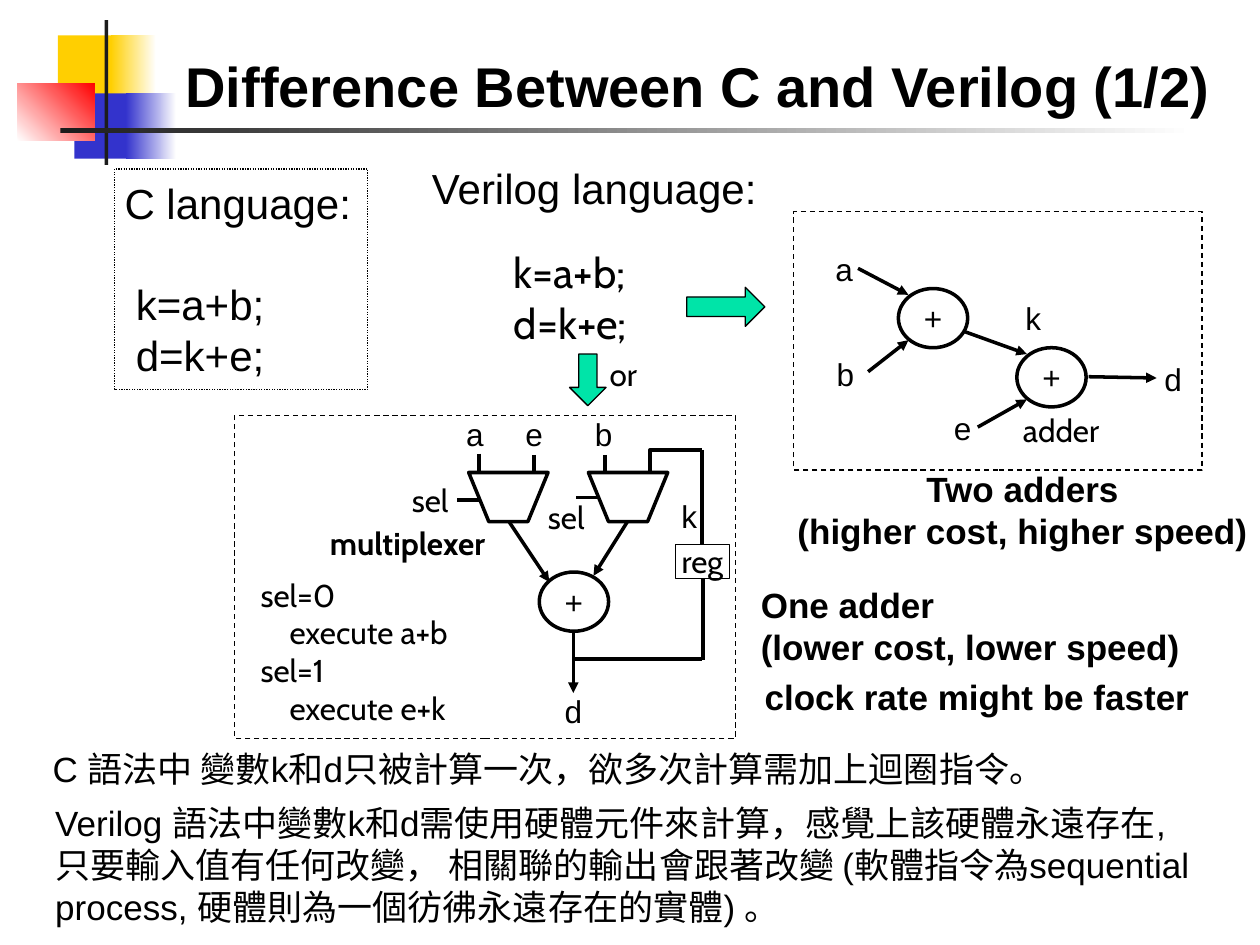
from dataclasses import dataclass

from lxml import etree
from pptx import Presentation, util as u
from pptx.dml import color
from pptx.enum import dml, shapes, text
from pptx.oxml import ns

PX = 9144  # EMU per px, at 100 px to the inch


@dataclass(frozen=True)
class Theme:
    ink: str = "000000"
    paper: str = "FFFFFF"
    gold: str = "FFCF01"
    blue: str = "3333CC"
    red: str = "FF0000"
    rule: str = "1C1C1C"
    arrow: str = "00E4A8"
    sans: str = "Arial"
    round: str = "Cabin"
    title: int = 32
    heading: int = 24
    note: int = 20
    label: int = 18
    wire: float = 2
    frame: float = 0.75


theme = Theme()
INK = color.RGBColor.from_string(theme.ink)
LEFT, CENTER = text.PP_ALIGN.LEFT, text.PP_ALIGN.CENTER
TOP, MIDDLE = text.MSO_ANCHOR.TOP, text.MSO_ANCHOR.MIDDLE


def write_text(shape, words, size, font, bold=False, align=LEFT, anchor=TOP):
    frame = shape.text_frame
    frame.text = words
    frame.word_wrap = False
    frame.vertical_anchor = anchor
    for paragraph in frame.paragraphs:
        paragraph.alignment = align
        for run in paragraph.runs:
            run.font.size = u.Pt(size)
            run.font.name = font
            run.font.bold = bold
            run.font.color.rgb = INK
    return frame


def draw_wire(x1, y1, x2, y2, arrow=False):
    wire = slide.shapes.add_connector(
        shapes.MSO_CONNECTOR.STRAIGHT, x1 * PX, y1 * PX, x2 * PX, y2 * PX)
    wire.line.color.rgb = INK
    wire.line.width = u.Pt(theme.wire)
    properties = wire._element.spPr
    if arrow:
        etree.SubElement(properties.find(ns.qn("a:ln")), ns.qn("a:tailEnd"), type="triangle")
    etree.SubElement(properties, ns.qn("a:effectLst"))


presentation = Presentation()
presentation.slide_width = 1000 * PX
presentation.slide_height = 750 * PX
slide = presentation.slides.add_slide(presentation.slide_layouts[5])

# Corner ornament: start colour, end colour, angle
for left, top, width, height, start, end, angle in [
    (46, 28, 48, 52, theme.gold, None, 0),
    (88, 28, 36, 52, theme.gold, theme.paper, 0),
    (59, 74, 46, 52, theme.blue, None, 0),
    (100, 74, 40, 52, theme.blue, theme.paper, 0),
    (14, 66, 61, 46, theme.paper, theme.red, 45),
    (83, 16, 3, 115, theme.rule, None, 0),
    (48, 102, 900, 4, theme.rule, theme.paper, 0),
]:
    block = slide.shapes.add_shape(
        shapes.MSO_SHAPE.RECTANGLE, left * PX, top * PX, width * PX, height * PX)
    block.shadow.inherit = False
    block.line.fill.background()
    if end:
        block.fill.gradient()
        block.fill.gradient_angle = angle
        for stop, shade in zip(block.fill.gradient_stops, (start, end)):
            stop.color.rgb = color.RGBColor.from_string(shade)
    else:
        block.fill.solid()
        block.fill.fore_color.rgb = color.RGBColor.from_string(start)

title = slide.shapes.title
title.left, title.top, title.width, title.height = 124 * PX, -11 * PX, 860 * PX, 110 * PX
write_text(title, "Difference Between C and Verilog (1/2)", theme.title, theme.sans,
           True, CENTER, text.MSO_ANCHOR.BOTTOM)

# Frames and block arrows
RECTANGLE = shapes.MSO_SHAPE.RECTANGLE
for kind, left, top, width, height, fill, dash in [
    (RECTANGLE, 91, 134, 201, 175, theme.paper, dml.MSO_LINE.ROUND_DOT),
    (RECTANGLE, 630, 168, 324, 205, theme.paper, dml.MSO_LINE.DASH),
    (RECTANGLE, 186, 330, 398, 256, theme.paper, dml.MSO_LINE.DASH),
    (shapes.MSO_SHAPE.RIGHT_ARROW, 545, 228, 62, 31, theme.arrow, None),
    (shapes.MSO_SHAPE.DOWN_ARROW, 452, 281, 29, 41, theme.arrow, None),
]:
    panel = slide.shapes.add_shape(kind, left * PX, top * PX, width * PX, height * PX)
    panel.shadow.inherit = False
    panel.fill.solid()
    panel.fill.fore_color.rgb = color.RGBColor.from_string(fill)
    panel.line.color.rgb = INK
    panel.line.width = u.Pt(theme.frame)
    panel.line.dash_style = dash

# Adders
for left, top in [(713, 229), (807, 276), (428, 454)]:
    adder = slide.shapes.add_shape(
        shapes.MSO_SHAPE.OVAL, left * PX, top * PX, 55 * PX, 47 * PX)
    adder.shadow.inherit = False
    adder.fill.background()
    adder.line.color.rgb = INK
    adder.line.width = u.Pt(theme.wire)
    write_text(adder, "+", theme.label, theme.sans, False, CENTER, MIDDLE)

# Two multiplexers and the feedback path into the second one
outlines = [([(x, 375), (x + 63, 375), (x + 47, 414), (x + 16, 414)], True)
            for x in (372, 467)]
outlines.append(([(516, 374), (516, 357), (557, 357)], False))
for points, closed in outlines:
    builder = slide.shapes.build_freeform(*points[0], scale=PX)
    builder.add_line_segments(points[1:], close=closed)
    outline = builder.convert_to_shape()
    outline.shadow.inherit = False
    outline.fill.background()
    outline.line.color.rgb = INK
    outline.line.width = u.Pt(theme.wire)

for ends in [
    (681, 213, 721, 234), (689, 295, 721, 270), (765, 263, 815, 281),
    (776, 339, 815, 317), (864, 299, 918, 300),
    (404, 414, 436, 462), (498, 414, 471, 457), (455, 502, 455, 550),
]:
    draw_wire(*ends, arrow=True)
for ends in [
    (380, 360, 380, 374), (424, 361, 424, 376), (480, 361, 480, 376),
    (380, 397, 363, 397), (474, 395, 457, 395),
    (455, 523, 557, 523), (557, 357, 557, 433), (558, 458, 558, 524),
]:
    draw_wire(*ends)

register = slide.shapes.add_shape(RECTANGLE, 536 * PX, 432 * PX, 43 * PX, 27 * PX)
register.shadow.inherit = False
register.fill.solid()
register.fill.fore_color.rgb = color.RGBColor.from_string(theme.paper)
register.line.color.rgb = INK
register.line.width = u.Pt(theme.frame)
write_text(register, "reg", theme.label, theme.round, False, CENTER, MIDDLE)

# Signal names, by their centres
for name, x, y in [
    ("a", 670, 213), ("b", 671, 296), ("k", 820, 252), ("e", 764, 339), ("d", 931, 300),
    ("a", 377, 344), ("e", 424, 344), ("b", 479, 344), ("k", 547, 409), ("d", 455, 564),
]:
    signal = slide.shapes.add_textbox((x - 20) * PX, (y - 15) * PX, 40 * PX, 31 * PX)
    write_text(signal, name, theme.label, theme.sans, False, CENTER, MIDDLE)

for words, left, top, width, height, size, font, bold, align in [
    ("Verilog language:", 333, 124, 279, 50, theme.heading, theme.sans, False, LEFT),
    ("k=a+b;\nd=k+e;", 398, 191, 120, 90, theme.heading, theme.round, False, LEFT),
    ("or", 474, 277, 45, 40, theme.label, theme.round, False, LEFT),
    ("adder", 802, 321, 89, 40, theme.label, theme.round, False, LEFT),
    ("multiplexer", 252, 411, 166, 40, theme.label, theme.round, True, LEFT),
    ("sel", 317, 377, 52, 40, theme.label, theme.round, False, LEFT),
    ("sel", 425, 390, 52, 40, theme.label, theme.round, False, LEFT),
    ("Two adders\n(higher cost, higher speed)", 619, 366, 385, 77,
     theme.note, theme.sans, True, CENTER),
    ("One adder\n(lower cost, lower speed)", 594, 458, 360, 77,
     theme.note, theme.sans, True, LEFT),
    ("clock rate might be faster", 597, 531, 360, 44, theme.note, theme.sans, True, LEFT),
    ("C 語法中 變數k和d只被計算一次，欲多次計算需加上迴圈指令。", 32, 588, 862, 44,
     theme.note, theme.sans, False, LEFT),
    ("Verilog 語法中變數k和d需使用硬體元件來計算，感覺上該硬體永遠存在,\n"
     "只要輸入值有任何改變， 相關聯的輸出會跟著改變 (軟體指令為sequential\n"
     "process, 硬體則為一個彷彿永遠存在的實體) 。", 34, 631, 963, 110,
     theme.note, theme.sans, False, LEFT),
]:
    box = slide.shapes.add_textbox(left * PX, top * PX, width * PX, height * PX)
    write_text(box, words, size, font, bold, align)

# Text with indented lines
c_box = slide.shapes.add_textbox(89 * PX, 136 * PX, 200 * PX, 170 * PX)
c_code = write_text(c_box, "C language:\nk=a+b;\nd=k+e;", theme.heading, theme.sans)
c_code.paragraphs[1].space_before = u.Pt(29)
select_box = slide.shapes.add_textbox(197 * PX, 452 * PX, 247 * PX, 130 * PX)
select_code = write_text(select_box, "sel=0\nexecute a+b\nsel=1\nexecute e+k",
                         theme.label, theme.round)
for paragraphs, indent in [(c_code.paragraphs[1:], 9), (select_code.paragraphs[1::2], 23)]:
    for paragraph in paragraphs:
        paragraph._p.get_or_add_pPr().set("marL", str(indent * PX))

presentation.save("out.pptx")
